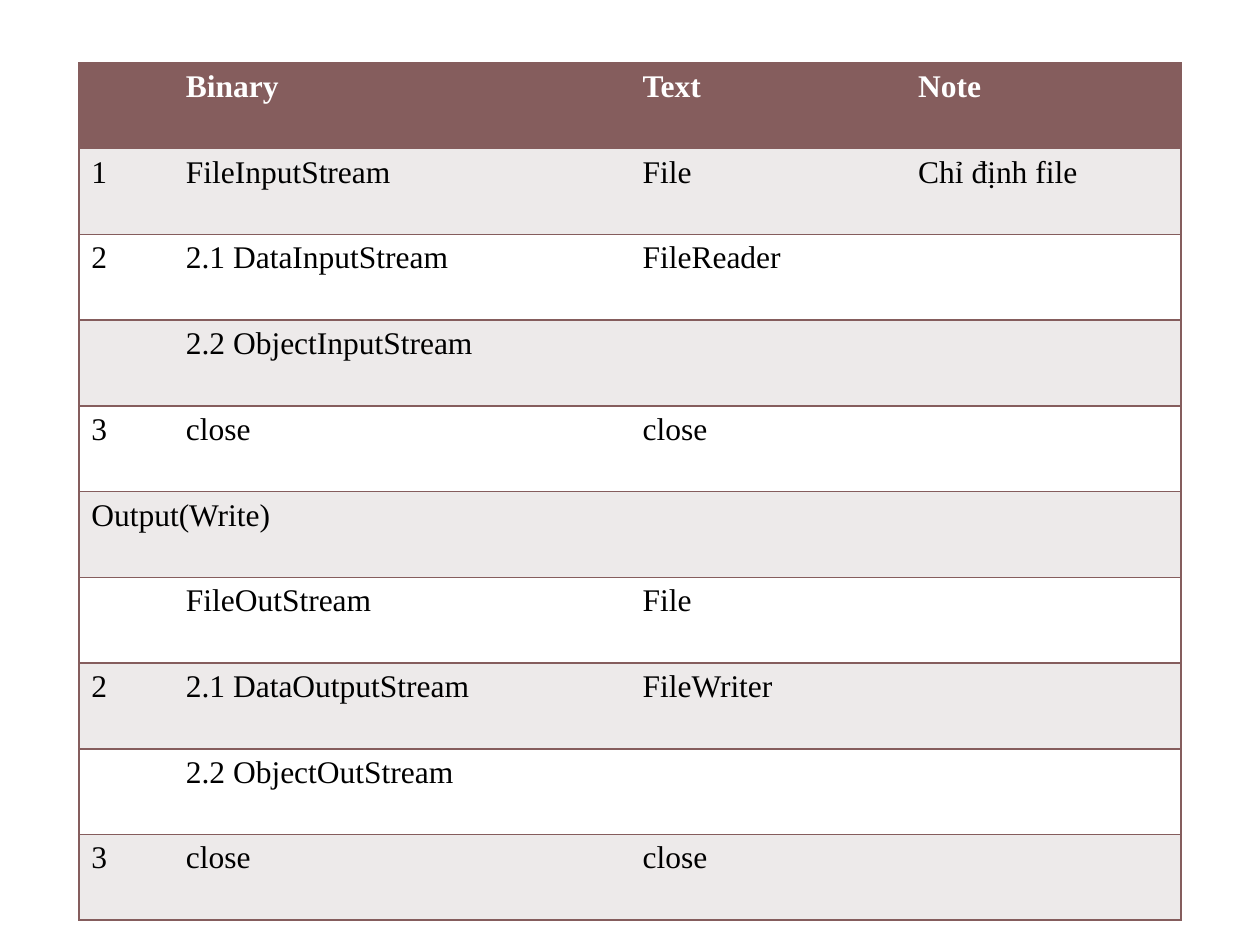
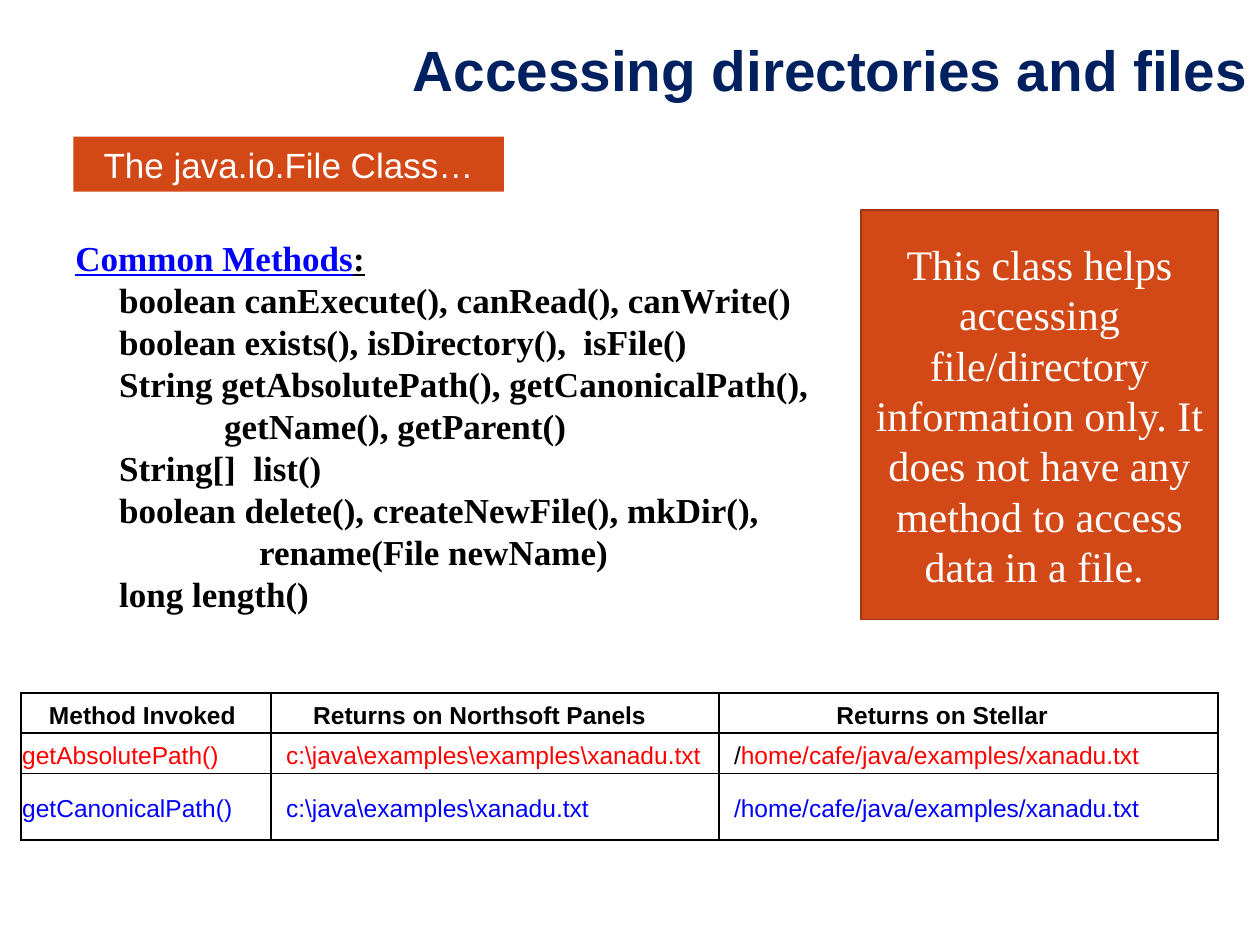
from pptx import Presentation
from pptx.dml.color import RGBColor
from pptx.enum.shapes import MSO_SHAPE as Shape
from pptx.enum.text import MSO_ANCHOR as Anchor, PP_ALIGN as Align
from pptx.oxml.ns import qn
from pptx.util import Pt
from lxml import etree

# Shared look
SERIF, SANS = "Times New Roman", "Arial"
BLACK, WHITE = RGBColor(0, 0, 0), RGBColor(255, 255, 255)
RED, BLUE, NAVY = RGBColor(255, 0, 0), RGBColor(0, 0, 255), RGBColor(0, 0x20, 0x60)
MAUVE, PALE = RGBColor(0x85, 0x5D, 0x5D), RGBColor(0xED, 0xEA, 0xEA)
ORANGE, RUST = RGBColor(0xD3, 0x48, 0x17), RGBColor(0x9C, 0x35, 0x11)
NO_GRID_STYLE = "{2D5ABB26-0587-4C30-8999-92F81FD0307C}"

# Slide 1: stream classes
STREAM_WIDTHS = [54, 261, 157.5, 157.5]
STREAM_ROWS = [
    ("", "Binary", "Text", "Note"),
    ("1", "FileInputStream", "File", "Chỉ định file"),
    ("2", "2.1 DataInputStream", "FileReader", ""),
    ("", "2.2 ObjectInputStream", "", ""),
    ("3", "close", "close", ""),
    ("Output(Write)",),
    ("", "FileOutStream", "File", ""),
    ("2", "2.1 DataOutputStream", "FileWriter", ""),
    ("", "2.2 ObjectOutStream", "", ""),
    ("3", "close", "close", ""),
]

# Slide 2: the File class
TITLE = "Accessing directories and files"
BADGE = "The java.io.File Class…"
CALLOUT = ("This class helps accessing file/directory information only. "
           "It does not have any method to access data in a file. ")
METHODS_HEADING = [("Common Methods", BLUE), (":", BLACK)]
METHODS = [  # indent, text
    (25, "boolean canExecute(), canRead(), canWrite()"),
    (25, "boolean exists(), isDirectory(),  isFile()"),
    (25, "String getAbsolutePath(), getCanonicalPath(),"),
    (85, "getName(), getParent()"),
    (25, "String[]  list()"),
    (25, "boolean delete(), createNewFile(), mkDir(),"),
    (105, "rename(File newName)"),
    (25, "long length()"),
]
PATH_WIDTHS = [143, 256, 285]
PATH_HEIGHTS = [23, 23, 38]
PATH_HEADER_INDENTS = [16, 24, 67]
PATH_BODY_INDENTS = [0.72, 8.5, 8.5]
PATH_ROWS = [  # each cell is a list of (text, colour)
    [[("Method Invoked", BLACK)],
     [("Returns on Northsoft Panels", BLACK)],
     [("Returns on Stellar", BLACK)]],
    [[("getAbsolutePath()", RED)],
     [(r"c:\java\examples\examples\xanadu.txt", RED)],
     [("/", BLACK), ("home/cafe/java/examples/xanadu.txt", RED)]],
    [[("getCanonicalPath()", BLUE)],
     [(r"c:\java\examples\xanadu.txt", BLUE)],
     [("/home/cafe/java/examples/xanadu.txt", BLUE)]],
]


def write(para, pieces, font, size, bold=False, underline=False):
    """Fill a paragraph with (text, colour) pieces."""
    for text, colour in pieces:
        span = para.add_run()
        span.text = text
        span.font.name, span.font.size = font, Pt(size)
        span.font.bold = bold
        span.font.underline = underline
        span.font.color.rgb = colour


def add_text_box(page, left, top, width, height, anchor):
    box = page.shapes.add_textbox(Pt(left), Pt(top), Pt(width), Pt(height))
    box.text_frame.word_wrap = True
    box.text_frame.vertical_anchor = anchor
    return box.text_frame


def add_panel(page, bounds, text, font, size, line=None):
    """Orange rectangle with centred white text."""
    panel = page.shapes.add_shape(Shape.RECTANGLE, *map(Pt, bounds))
    panel.shadow.inherit = False
    panel.fill.solid()
    panel.fill.fore_color.rgb = ORANGE
    if line is None:
        panel.line.fill.background()
    else:
        panel.line.color.rgb = line
        panel.line.width = Pt(1)
    para = panel.text_frame.paragraphs[0]
    panel.text_frame.word_wrap = True
    para.alignment = Align.CENTER
    write(para, [(text, WHITE)], font, size)


def add_plain_table(page, left, top, widths, heights):
    table = page.shapes.add_table(len(heights), len(widths), Pt(left), Pt(top),
                                  Pt(sum(widths)), Pt(sum(heights))).table
    table._tbl.tblPr.find(qn("a:tableStyleId")).text = NO_GRID_STYLE
    for column, width in zip(table.columns, widths):
        column.width = Pt(width)
    for row, height in zip(table.rows, heights):
        row.height = Pt(height)
    return table


def border(cell, sides, colour):
    """Draw 1 pt lines on the given sides, listed in the order L, R, T, B."""
    props = cell._tc.get_or_add_tcPr()
    for side in sides:
        line = etree.SubElement(props, qn("a:ln" + side), w=str(Pt(1)))
        fill = etree.SubElement(line, qn("a:solidFill"))
        etree.SubElement(fill, qn("a:srgbClr"), val=str(colour))


def build_streams(page):
    table = add_plain_table(page, 45, 36, STREAM_WIDTHS, [49] * len(STREAM_ROWS))
    last = len(STREAM_WIDTHS) - 1
    for r, texts in enumerate(STREAM_ROWS):
        header, section = r == 0, len(texts) == 1
        band = MAUVE if header else PALE if r % 2 else WHITE
        for c in range(last + 1):
            cell = table.cell(r, c)
            sides = "L" * (c == 0) + "R" * (c == last or section) + "TB"
            border(cell, sides, MAUVE)
            cell.fill.solid()
            cell.fill.fore_color.rgb = band
            if c < len(texts) and texts[c]:
                colour = WHITE if header else BLACK
                write(cell.text_frame.paragraphs[0], [(texts[c], colour)],
                      SERIF, 18, bold=header)
        if section:
            table.cell(r, 0).merge(table.cell(r, last))


def build_path_table(page):
    table = add_plain_table(page, 12, 396, PATH_WIDTHS, PATH_HEIGHTS)
    for r, row in enumerate(PATH_ROWS):
        indents = PATH_BODY_INDENTS if r else PATH_HEADER_INDENTS
        for c, pieces in enumerate(row):
            cell = table.cell(r, c)
            border(cell, "LRTB", BLACK)
            cell.fill.background()
            cell.vertical_anchor = Anchor.MIDDLE
            cell.margin_left = Pt(indents[c])
            cell.margin_right = cell.margin_top = Pt(0.72)
            cell.margin_bottom = 0
            para = cell.text_frame.paragraphs[0]
            para.line_spacing = 1.15
            write(para, pieces, SANS, 14, bold=r == 0)


def build_file_class(page):
    # Title
    frame = add_text_box(page, 168, 18, 552, 48, Anchor.BOTTOM)
    frame.margin_bottom = Pt(7.2)
    frame.paragraphs[0].alignment = Align.RIGHT
    write(frame.paragraphs[0], [(TITLE, NAVY)], SANS, 32.4, bold=True)

    # Method list
    frame = add_text_box(page, 36, 132, 444, 222, Anchor.MIDDLE)
    write(frame.paragraphs[0], METHODS_HEADING, SERIF, 20, bold=True, underline=True)
    for indent, text in METHODS:
        para = frame.add_paragraph()
        para._p.get_or_add_pPr().set("marL", str(Pt(indent)))
        write(para, [(text, BLACK)], SERIF, 20, bold=True)

    # Path table and panels
    build_path_table(page)
    add_panel(page, (492, 120, 204, 234), CALLOUT, SERIF, 24, line=RUST)
    add_panel(page, (42, 78, 246, 31.5), BADGE, SANS, 20)


def main():
    deck = Presentation()
    deck.slide_width, deck.slide_height = Pt(720), Pt(540)
    for build in (build_streams, build_file_class):
        build(deck.slides.add_slide(deck.slide_layouts[6]))
    deck.save("out.pptx")


if __name__ == "__main__":
    main()
